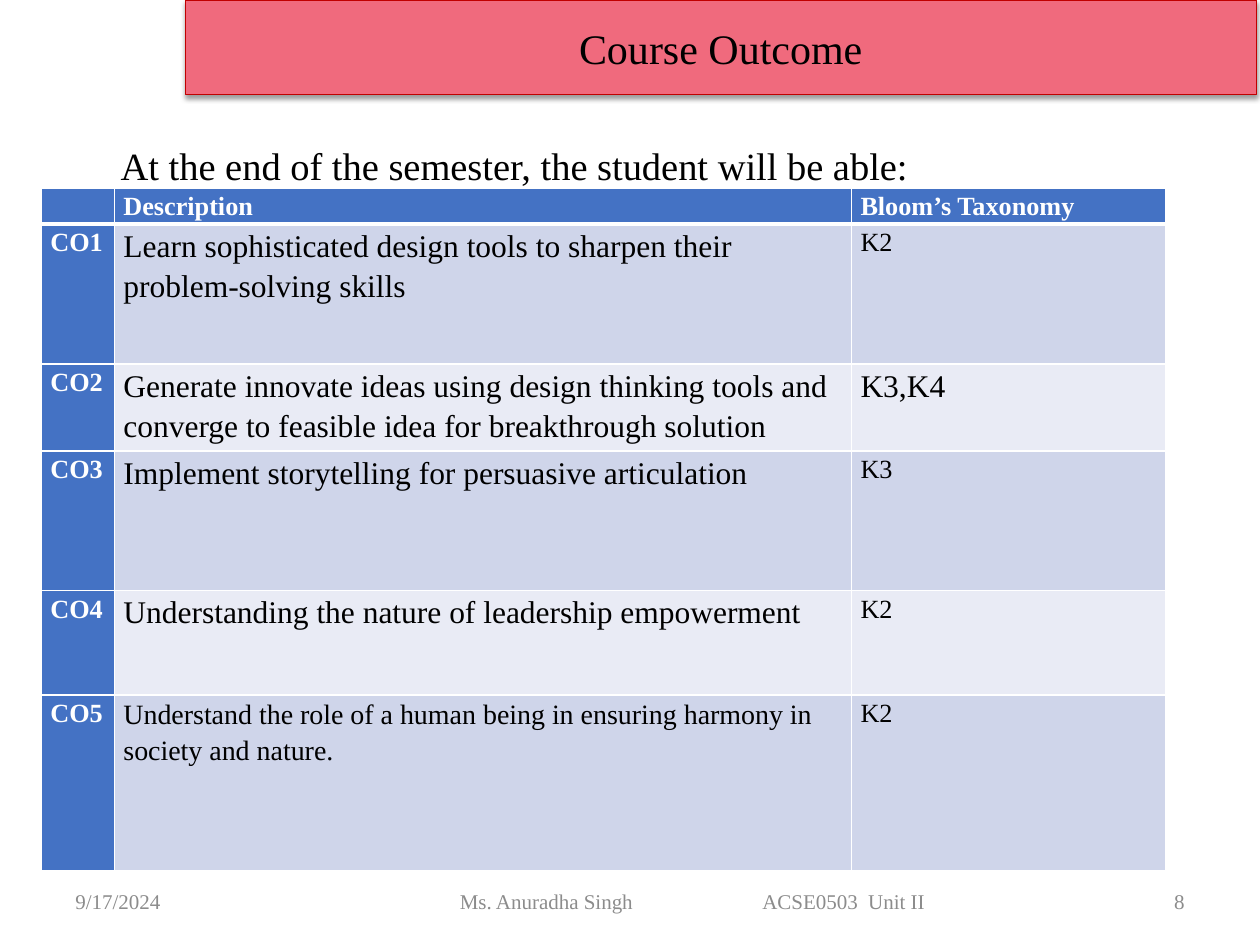
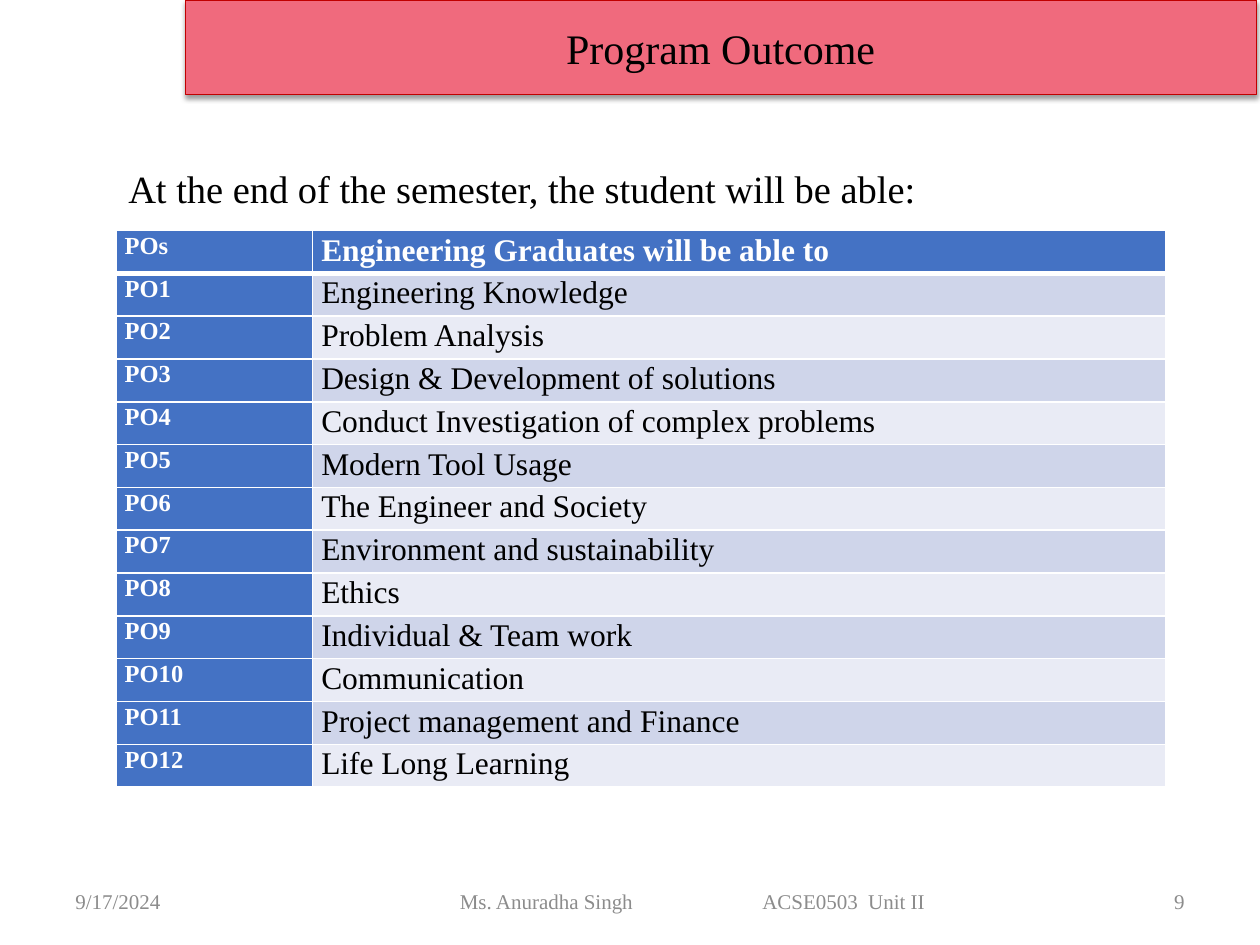
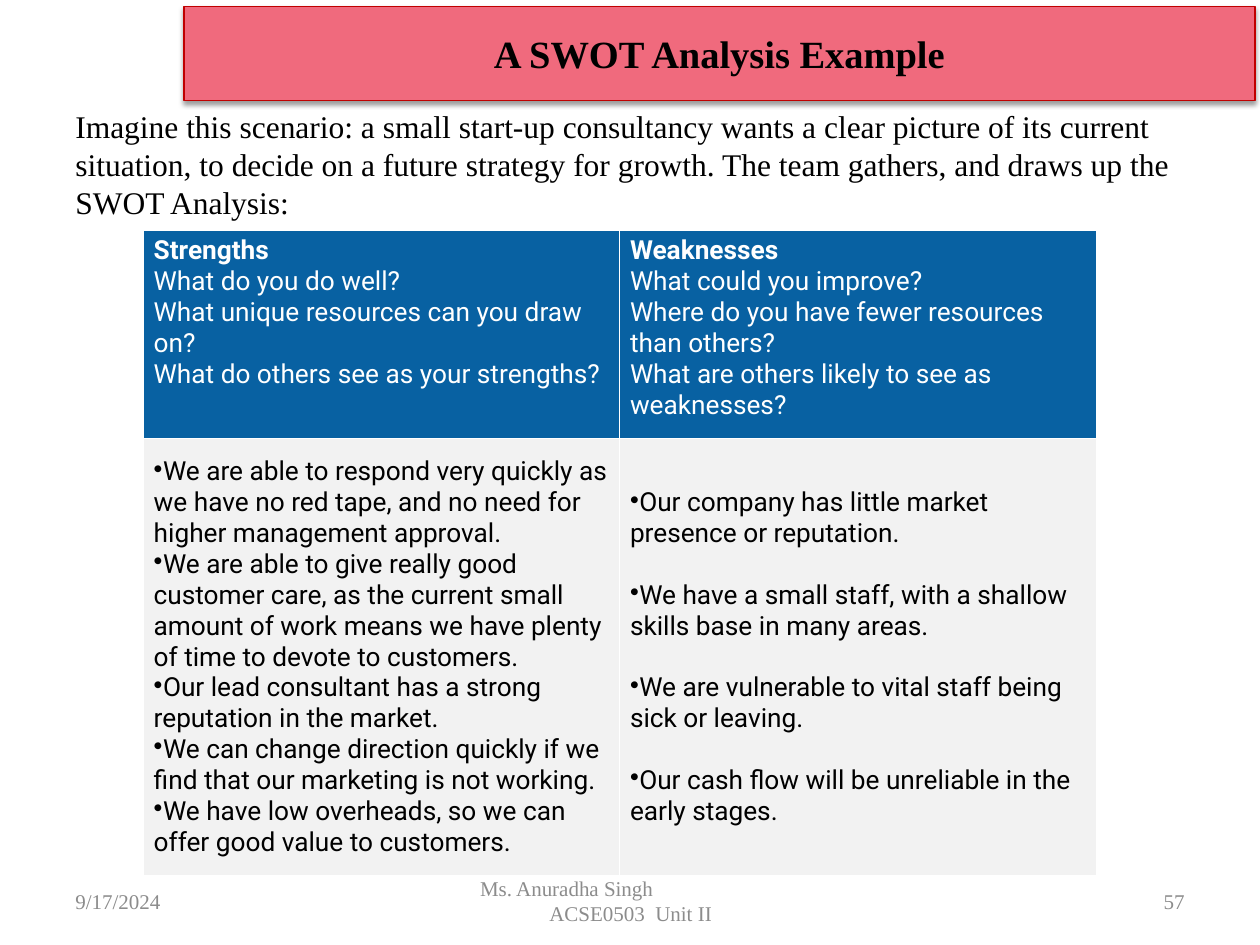
from lxml import etree
from pptx import Presentation
from pptx.dml.color import RGBColor
from pptx.enum import text
from pptx.oxml import parse_xml
from pptx.oxml.ns import nsdecls, qn
from pptx.util import Inches, Pt

SERIF, SANS = "Times New Roman", "Roboto"
BLACK = RGBColor(0x00, 0x00, 0x00)
WHITE = RGBColor(0xFF, 0xFF, 0xFF)
GREY = RGBColor(0x8C, 0x8C, 0x8C)
BAND_PINK = RGBColor(0xF0, 0x6A, 0x7D)
BAND_EDGE = RGBColor(0xC0, 0x00, 0x00)
HEADER_BLUE = RGBColor(0x44, 0x72, 0xC4)
ROW_TINTS = [RGBColor(0xCF, 0xD5, 0xEA), RGBColor(0xE9, 0xEB, 0xF5)]
SWOT_BLUE = RGBColor(0x08, 0x61, 0xA2)
SWOT_GREY = RGBColor(0xF2, 0xF2, 0xF2)

LEFT, CENTER, RIGHT = (text.PP_ALIGN.LEFT, text.PP_ALIGN.CENTER, text.PP_ALIGN.RIGHT)
TOP, MIDDLE = text.MSO_ANCHOR.TOP, text.MSO_ANCHOR.MIDDLE

DATE, AUTHOR, UNIT = "9/17/2024", "Ms. Anuradha Singh", "ACSE0503  Unit II"
INTRO = "At the end of the semester, the student will be able:"

# Each row: code, description, its size, taxonomy level, its size
COURSE_OUTCOMES = [
    ("", "Description", 15, "Bloom’s Taxonomy", 15),
    ("CO1", "Learn sophisticated design tools to sharpen their problem-solving skills", 18, "K2", 15),
    ("CO2", "Generate innovate ideas using design thinking tools and converge to "
            "feasible idea for breakthrough solution", 18, "K3,K4", 18),
    ("CO3", "Implement storytelling for persuasive articulation", 18, "K3", 15),
    ("CO4", "Understanding the nature of leadership empowerment", 18, "K2", 15),
    ("CO5", "Understand the role of a human being in ensuring harmony in society "
            "and nature.", 16, "K2", 15),
]
COURSE_HEIGHTS = [0.28, 1.11, 0.55, 1.11, 0.83, 1.39]

PROGRAM_OUTCOMES = [
    "Engineering Knowledge", "Problem Analysis", "Design & Development of solutions",
    "Conduct Investigation of complex problems", "Modern Tool Usage",
    "The Engineer and Society", "Environment and sustainability", "Ethics",
    "Individual & Team work", "Communication", "Project management and Finance",
    "Life Long Learning",
]

SCENARIO = ("Imagine this scenario: a small start-up consultancy wants a clear picture of its "
            "current situation, to decide on a future strategy for growth. The team gathers, "
            "and draws up the SWOT Analysis:")
# Each column: heading, questions, answers, points between answers
SWOT = [
    ("Strengths",
     ["What do you do well?", "What unique resources can you draw on?",
      "What do others see as your strengths?"],
     ["We are able to respond very quickly as we have no red tape, and no need for higher "
      "management approval.",
      "We are able to give really good customer care, as the current small amount of work "
      "means we have plenty of time to devote to customers.",
      "Our lead consultant has a strong reputation in the market.",
      "We can change direction quickly if we find that our marketing is not working.",
      "We have low overheads, so we can offer good value to customers."], 0),
    ("Weaknesses",
     ["What could you improve?", "Where do you have fewer resources than others?",
      "What are others likely to see as weaknesses?"],
     ["Our company has little market presence or reputation.",
      "We have a small staff, with a shallow skills base in many areas.",
      "We are vulnerable to vital staff being sick or leaving.",
      "Our cash flow will be unreliable in the early stages."], 17.6),
]


def add_run(p, words, size, color=BLACK, bold=False, font=SERIF):
    r = p.add_run()
    r.text = words
    r.font.size, r.font.name, r.font.bold = Pt(size), font, bold
    r.font.color.rgb = color


def next_paragraph(tf, index):
    return tf.add_paragraph() if index else tf.paragraphs[0]


def add_box(s, left, top, width, height, words, size, color=BLACK, align=LEFT, anchor=TOP):
    tf = s.shapes.add_textbox(Inches(left), Inches(top), Inches(width), Inches(height)).text_frame
    tf.word_wrap, tf.vertical_anchor = True, anchor
    p = tf.paragraphs[0]
    p.alignment = align
    add_run(p, words, size, color)
    return tf


def add_intro(s, left, top):
    p = add_box(s, left, top, 8.5, 0.5, INTRO, 22).paragraphs[0]
    p.line_spacing, p.space_after = 1.15, Pt(10)


def add_band(s, title, left, top, size, bold):
    sp = s.shapes.title
    sp.left, sp.top, sp.width, sp.height = map(Inches, (left, top, 8.5, 0.75))
    sp.fill.solid()
    sp.fill.fore_color.rgb = BAND_PINK
    sp.line.color.rgb, sp.line.width = BAND_EDGE, Pt(0.75)
    sp._element.spPr.append(parse_xml(
        f'<a:effectLst {nsdecls("a")}><a:outerShdw blurRad="{Pt(3.1)}" dist="{Pt(1.6)}" '
        'dir="5400000" rotWithShape="0"><a:srgbClr val="000000"><a:alpha val="38000"/>'
        '</a:srgbClr></a:outerShdw></a:effectLst>'))
    tf = sp.text_frame
    tf.auto_size, tf.vertical_anchor = text.MSO_AUTO_SIZE.NONE, MIDDLE
    tf.paragraphs[0].alignment = CENTER
    add_run(tf.paragraphs[0], title, size, bold=bold)


def add_footer(s, number, stacked):
    """Date, author with unit, and slide number; stacked puts the unit under the author."""
    footer = dict(size=12, color=GREY, anchor=MIDDLE)
    add_box(s, 0.5, 6.95, 2.33, 0.4, DATE, **footer)
    add_box(s, 7.17, 6.95, 2.33, 0.4, number, align=RIGHT, **footer)
    if stacked:
        tf = add_box(s, 3.42, 6.95, 3.17, 0.4, AUTHOR, **footer)
        tf.margin_left = Inches(0.39)
        p = tf.add_paragraph()
        p._p.get_or_add_pPr().set("marL", str(Inches(0.55)))
        add_run(p, UNIT, 12, GREY)
    else:
        tf = add_box(s, 2.75, 6.95, 5.5, 0.4, AUTHOR, **footer)
        tf.margin_left = Inches(0.9)
        p = tf.paragraphs[0]
        tabs = etree.SubElement(p._p.get_or_add_pPr(), qn("a:tabLst"))
        etree.SubElement(tabs, qn("a:tab"), pos=str(Inches(2.4)), algn="l")
        add_run(p, "\t" + UNIT, 12, GREY)


def add_slide(prs, title, number, left=1.47, top=0, size=24, bold=False, stacked=False):
    s = prs.slides.add_slide(prs.slide_layouts[5])
    add_band(s, title, left, top, size, bold)
    add_footer(s, number, stacked)
    return s


def add_grid(s, left, top, widths, heights):
    table = s.shapes.add_table(len(heights), len(widths), Inches(left), Inches(top),
                               Inches(sum(widths)), Inches(sum(heights))).table
    for column, width in zip(table.columns, widths):
        column.width = Inches(width)
    for row, height in zip(table.rows, heights):
        row.height = Inches(height)
    return table


def style_cell(cell, fill, margins, top=1, bottom=1, side=1):
    """Set fill, (horizontal, vertical) margins and white borders in points."""
    cell.margin_left = cell.margin_right = Inches(margins[0])
    cell.margin_top = cell.margin_bottom = Inches(margins[1])
    tcPr = cell._tc.get_or_add_tcPr()
    for edge, width in (("L", side), ("R", side), ("T", top), ("B", bottom)):
        tcPr.append(parse_xml(
            f'<a:ln{edge} {nsdecls("a")} w="{Pt(width)}"><a:solidFill>'
            f'<a:srgbClr val="{WHITE}"/></a:solidFill></a:ln{edge}>'))
    cell.fill.solid()
    cell.fill.fore_color.rgb = fill


def fill_outcomes(table, rows, spacing):
    """Fill a table from rows of (words, size) with a blue header row and first column."""
    for i, row in enumerate(rows):
        for j, (words, size) in enumerate(row):
            head = i == 0 or j == 0
            cell = table.cell(i, j)
            style_cell(cell, HEADER_BLUE if head else ROW_TINTS[(i - 1) % 2], (0.07, 0),
                       top=3 if i == 1 else 1, bottom=3 if i == 0 else 1)
            p = cell.text_frame.paragraphs[0]
            p.line_spacing = spacing
            if words:
                add_run(p, words, size, WHITE if head else BLACK, head)
            else:
                p._p.get_or_add_endParaRPr().set("sz", str(size * 100))


def fill_swot(table):
    for j, (heading, questions, answers, gap) in enumerate(SWOT):
        top, body = table.cell(0, j), table.cell(1, j)
        for cell, fill in ((top, SWOT_BLUE), (body, SWOT_GREY)):
            style_cell(cell, fill, (0.08, 0.04), 0.6, 0.6, 0.6)
        for i, words in enumerate([heading] + questions):
            add_run(next_paragraph(top.text_frame, i), words, 15, WHITE, i == 0, SANS)
        body.vertical_anchor = MIDDLE
        for i, words in enumerate(answers):
            p = next_paragraph(body.text_frame, i)
            pPr = p._p.get_or_add_pPr()
            pPr.set("marL", "0")
            pPr.set("indent", "0")
            etree.SubElement(pPr, qn("a:buChar"), char="•")
            if i and gap:
                p.space_before = Pt(gap)
            add_run(p, words, 15, font=SANS)


def main():
    prs = Presentation()
    prs.slide_width, prs.slide_height = Inches(10), Inches(7.5)

    s = add_slide(prs, "Course Outcome", "8")
    add_intro(s, 0.86, 1.02)
    rows = [((code, 15), (words, size), (level, level_size))
            for code, words, size, level, level_size in COURSE_OUTCOMES]
    fill_outcomes(add_grid(s, 0.33, 1.49, [0.58, 5.85, 2.49], COURSE_HEIGHTS), rows, 1.15)

    s = add_slide(prs, "Program Outcome", "9")
    add_intro(s, 0.92, 1.21)
    rows = [(("POs", 14), ("Engineering Graduates will be able to", 18))]
    rows += [((f"PO{n}", 14), (words, 18)) for n, words in enumerate(PROGRAM_OUTCOMES, 1)]
    fill_outcomes(add_grid(s, 0.92, 1.83, [1.56, 6.77], [0.34] * len(rows)), rows, 1.07)

    s = add_slide(prs, "A SWOT Analysis Example", "57", 1.46, 0.05, 22, True, stacked=True)
    add_box(s, 0.5, 0.8, 9, 1, SCENARIO, 18)
    fill_swot(add_grid(s, 1.14, 1.83, [3.78, 3.78], [1.65, 3.47]))

    prs.save("out.pptx")


if __name__ == "__main__":
    main()
